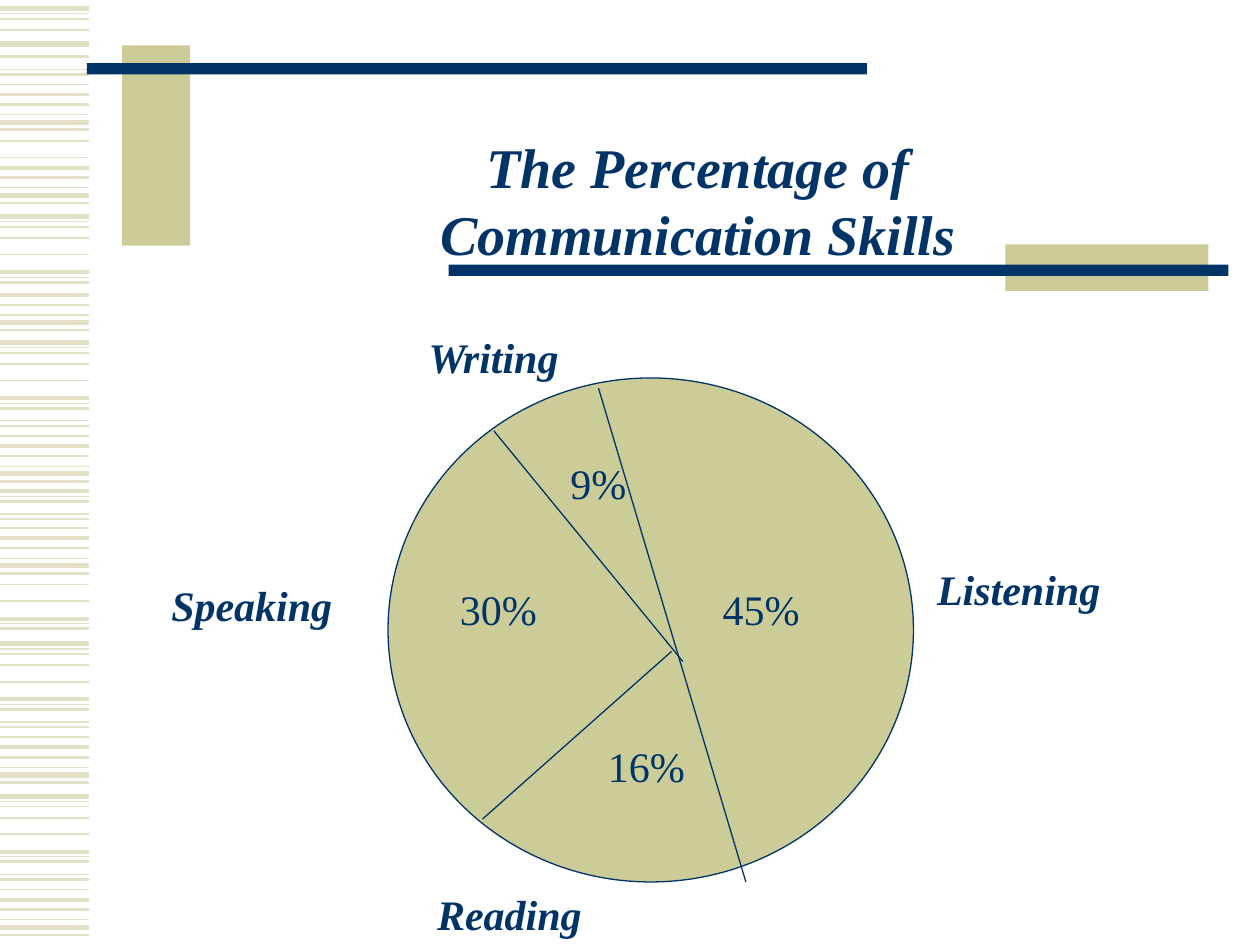
from lxml import etree
from pptx import Presentation
from pptx.dml.color import RGBColor
from pptx.enum.shapes import MSO_CONNECTOR, MSO_SHAPE
from pptx.enum.text import MSO_ANCHOR, PP_ALIGN
from pptx.oxml.ns import qn
from pptx.util import Pt

PX = 9144
NAVY = RGBColor(0x00, 0x33, 0x66)
KHAKI = RGBColor(0xCC, 0xCC, 0x99)
PALE_KHAKI = RGBColor(0xE3, 0xE2, 0xC7)
FONT = "Times New Roman"
STRAIGHT = MSO_CONNECTOR.STRAIGHT
RECTANGLE = MSO_SHAPE.RECTANGLE
OVAL = MSO_SHAPE.OVAL
CENTER = PP_ALIGN.CENTER
TOP = MSO_ANCHOR.TOP

RISE = [(0, 1), (8, 2.25), (16, 1.5), (24, 0.75), (30, 3), (36, 1.5)]
FALL = [(0, 3), (4, 0.75), (8, 1), (17, 1), (30, 1),
        (44, 2.25), (48, 0.75), (52, 1.5), (62, 0.75), (66, 1.5)]
STRIPE_RUNS = [
    (7, FALL[:4]), (35, [(0, 3)]), (-7, FALL[7:]), (67, RISE),
    (82, FALL[4:5]), (125, RISE), (172, FALL[:8]), (226, RISE[1:]),
    (272, FALL), (346, RISE), (346, FALL[5:]), (419, RISE),
    (447, FALL[3:8]), (511, FALL), (585, RISE), (632, FALL), (706, RISE),
]


def add_block(page, kind, box, fill, line=None):
    """Add a filled preset shape, outlined when a line colour is given."""
    block = page.shapes.add_shape(kind, *[side * PX for side in box])
    block.shadow.inherit = False
    block.fill.solid()
    block.fill.fore_color.rgb = fill
    if line is None:
        block.line.fill.background()
    else:
        block.line.color.rgb = line
        block.line.width = Pt(0.75)


def add_line(page, start, end, color, weight):
    """Add a straight line without a shadow."""
    points = [value * PX for value in (*start, *end)]
    line = page.shapes.add_connector(STRAIGHT, *points)
    line.line.color.rgb = color
    line.line.width = Pt(weight)
    etree.SubElement(line.element.spPr, qn("a:effectLst"))


def add_text(page, text, box, size=24, strong=False, color=NAVY):
    """Add a centred text box; strong text is bold and italic."""
    frame = page.shapes.add_textbox(*[side * PX for side in box]).text_frame
    frame.word_wrap = True
    frame.vertical_anchor = TOP
    para = frame.paragraphs[0]
    para.alignment = CENTER
    span = para.add_run()
    span.text = text
    span.font.name = FONT
    span.font.size = Pt(size)
    span.font.bold = strong
    span.font.italic = strong
    span.font.color.rgb = color


def draw_stripes(page, box):
    """Draw the striped band down the side of the page."""
    left, top, width, _ = box
    for start, stripes in STRIPE_RUNS:
        for offset, weight in stripes:
            y = top + start + offset
            add_line(page, (left, y), (left + width, y), PALE_KHAKI, weight)


def draw_header(page, box):
    """Draw the two bars with their blocks around the title area."""
    left, top, width, height = box
    bar_width, bar_height = 619, 9
    right, bottom = left + width, top + height
    add_block(page, RECTANGLE, (left + 28, top, 54, 159), KHAKI)
    add_block(page, RECTANGLE, (left, top + 14, bar_width, bar_height), NAVY)
    add_block(page, RECTANGLE, (right - 177, bottom - 37, 161, 37), KHAKI)
    add_block(page, RECTANGLE,
              (right - bar_width, bottom - 21, bar_width, bar_height), NAVY)


def draw_skills(page, box):
    """Draw the divided circle with its shares and skill names."""
    left, top, _, _ = box
    add_block(page, OVAL, box, KHAKI, NAVY)
    dividers = [((167, 8), (284, 400)), ((84, 42), (234, 225)),
                ((75, 350), (225, 217))]
    for (x1, y1), (x2, y2) in dividers:
        add_line(page, (left + x1, top + y1), (left + x2, top + y2),
                 NAVY, 0.75)
    labels = [
        ("9%", -33, 58, 400, False), ("45%", 200, 158, 192, False),
        ("16%", 109, 283, 192, False), ("30%", 25, 158, 125, False),
        ("Speaking ", -208, 155, 208, True), ("Writing ", -33, -42, 242, True),
        ("Listening", 384, 142, 233, True), ("Reading ", -33, 400, 267, True),
    ]
    for text, x, y, width, strong in labels:
        add_text(page, text, (left + x, top + y, width, 50), strong=strong)


def main():
    """Build the deck and save it."""
    deck = Presentation()
    deck.slide_width, deck.slide_height = 1000 * PX, 750 * PX
    page = deck.slides.add_slide(deck.slide_layouts[6])
    draw_stripes(page, (0, 0, 71, 750))
    draw_header(page, (69, 36, 906, 195))
    draw_skills(page, (308, 300, 417, 400))
    add_text(page, "The Percentage of Communication Skills",
             (225, 100, 658, 117), size=32, strong=True)
    deck.save("out.pptx")


if __name__ == "__main__":
    main()
